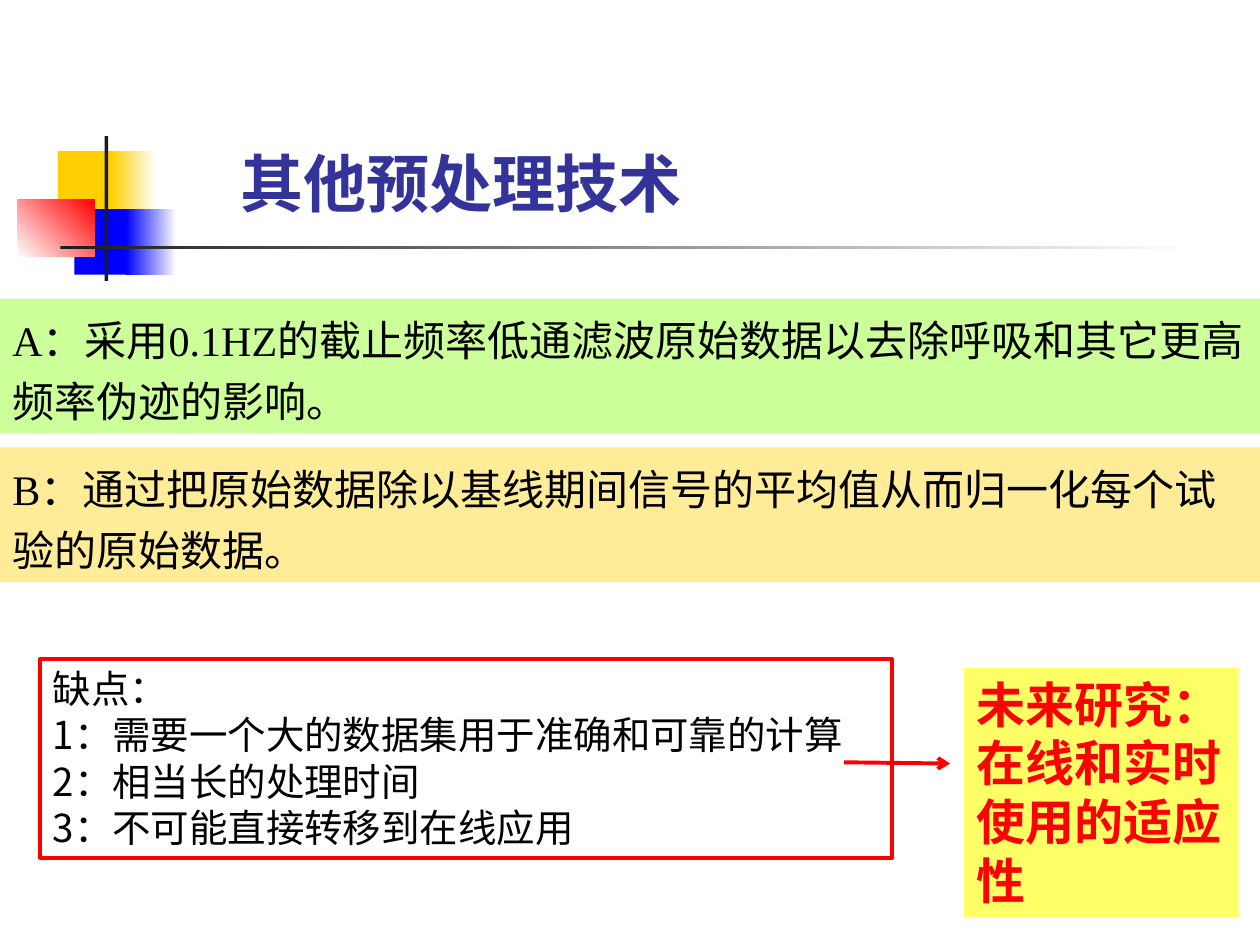
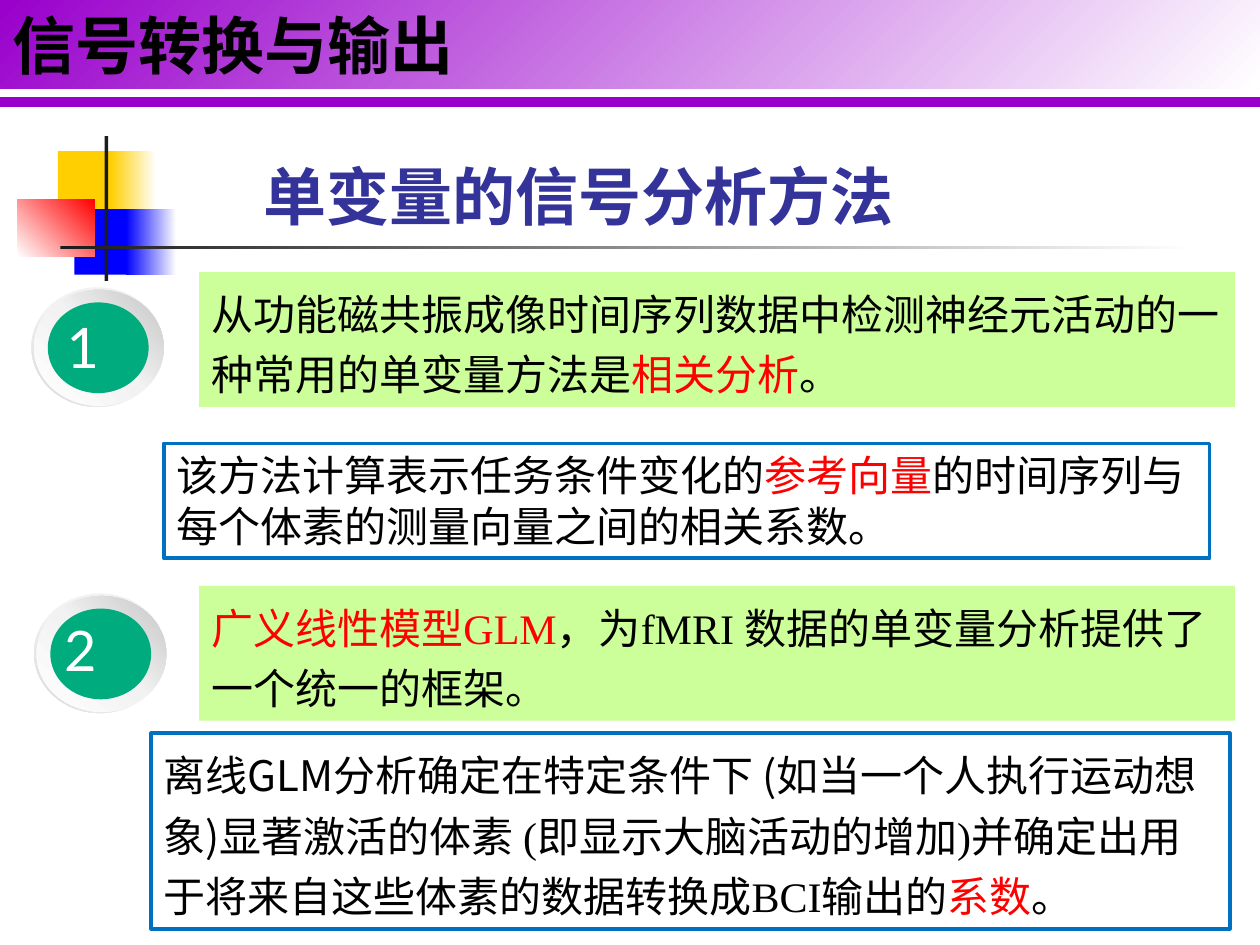
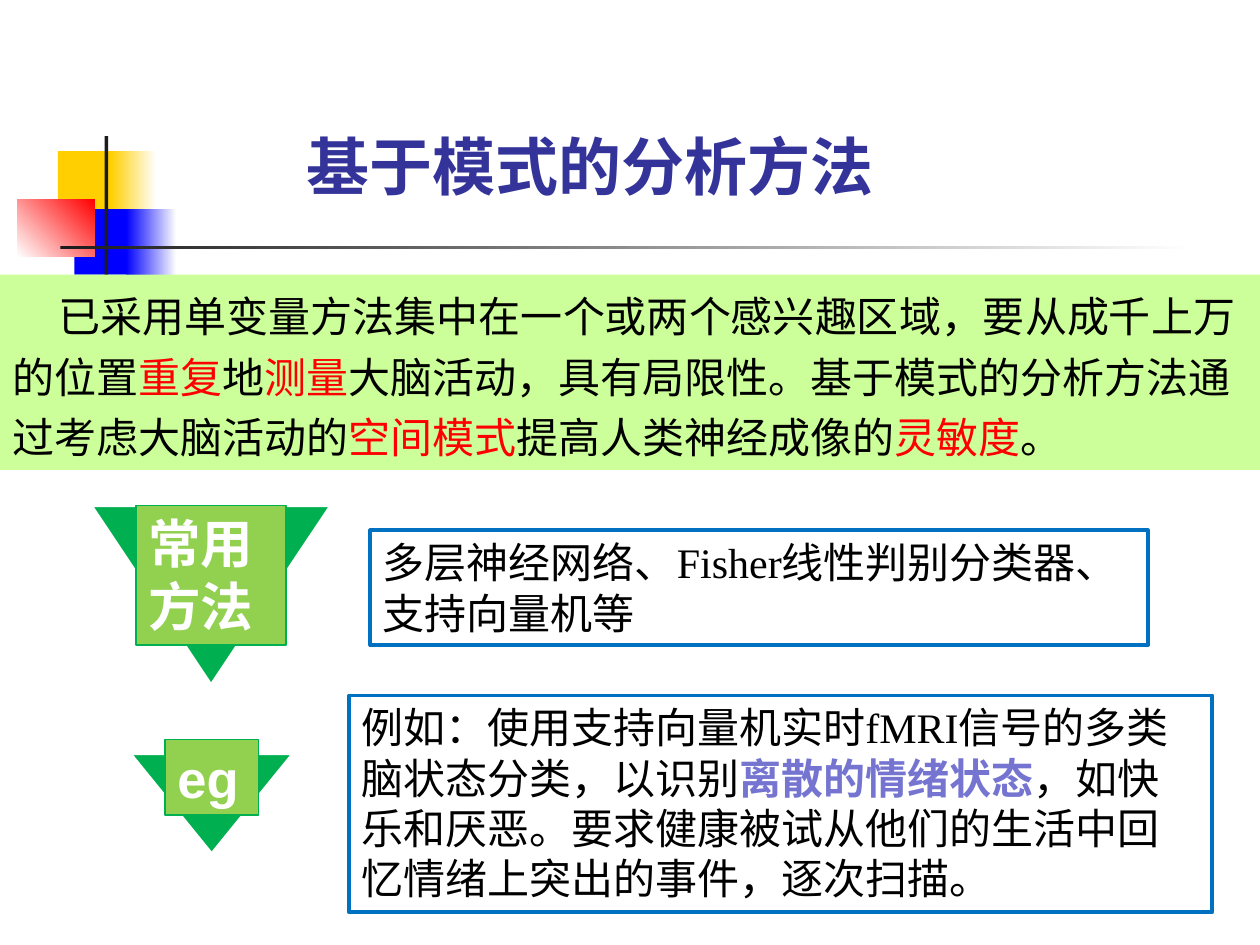
from lxml import etree
from pptx import Presentation
from pptx import oxml
from pptx.dml import color as dml
from pptx.enum import lang, shapes, text
from pptx.oxml import ns
from pptx.util import Inches, Pt

SHAPE = shapes.MSO_SHAPE
SANS, SERIF = "Noto Sans CJK SC", "Times New Roman"
BLACK, WHITE, RED, NAVY = "000000", "FFFFFF", "FF0000", "333399"
LIME, BLUE, GREEN, PURPLE = "CCFF99", "0070C0", "00B050", "9900CC"

# Shared decoration: place, then a solid colour or (gradient stops, angle)
DECORATION = [
    ((0.46, 1.2, 0.48, 0.52), "FFCF01"),
    ((0.88, 1.2, 0.36, 0.52), ([(0, "FFCF01"), (100, WHITE)], 0)),
    ((0.59, 1.66, 0.46, 0.52), "0000FF"),
    ((1, 1.66, 0.4, 0.52), ([(0, "0000FF"), (100, WHITE)], 0)),
    ((0.14, 1.58, 0.61, 0.46), ([(0, WHITE), (100, RED)], 315)),
    ((0.83, 1.08, 0.03, 1.15), "1C1C1C"),
    ((0.48, 1.95, 9, 0.03), ([(0, "1C1C1C"), (100, WHITE)], 0)),
]
HEADER_FILL = ([(0, PURPLE), (100, WHITE)], 45)
RING_FILL = ([(0, "F2F2F2"), (55, "F2F2F2"), (100, "D9D9D9")], 135)
DISC_FILL = ([(0, WHITE), (51, "F2F2F2"), (100, "C5C5C5")], 315)

# Panel styles
BAND = dict(fill=LIME, spacing=1.2)
FRAME = dict(line=(BLUE, 2.25))
TAG = dict(fill="92D050", line=(GREEN, 0.75), size=30, font="Arial", color=WHITE, bold=True)
KEY = dict(color=RED)

# Each panel: place, paragraphs (lists of text or (text, run style)), style
SLIDES = [
    dict(
        title=("其他预处理技术", (1.81, 0.2, 6.1, 1.6), "BOTTOM"),
        panels=[
            ((0, 2.37, 10, 1.07),
             [["A：采用0.1HZ的截止频率低通滤波原始数据以去除呼吸和其它更高频率伪迹的影响。"]], BAND),
            ((0, 3.55, 10, 1.07),
             [["B：通过把原始数据除以基线期间信号的平均值从而归一化每个试验的原始数据。"]],
             BAND | dict(fill="FFEC99")),
            ((0.32, 5.23, 6.76, 1.58),
             [["缺点："], ["1：需要一个大的数据集用于准确和可靠的计算"],
              ["2：相当长的处理时间"], ["3：不可能直接转移到在线应用"]],
             dict(line=(RED, 2.25), size=22, font=SANS)),
            ((7.65, 5.3, 2.18, 1.98), [["未来研究：在线和实时使用的适应性"]],
             dict(fill="FFFF66", size=28, color=RED, bold=True)),
        ],
        lines=[((6.7, 6.05), (7.54, 6.06), RED, 2.25, True)],
    ),
    dict(
        title=("单变量的信号分析方法", (1.99, 1.2, 7.81, 0.64), "TOP"),
        panels=[
            ((0, 0, 10, 0.7), [["信号转换与输出"]], dict(fill=HEADER_FILL, size=36, bold=True)),
            ((1.3, 3.52, 8.3, 0.91),
             [["该方法计算表示任务条件变化的", ("参考向量", KEY),
               "的时间序列与每个体素的测量向量之间的相关系数。"]], FRAME | dict(font=SANS)),
            ((1.58, 2.16, 8.22, 1.07),
             [["从功能磁共振成像时间序列数据中检测神经元活动的一种常用的单变量方法是",
               ("相关分析", KEY), "。"]], BAND | dict(font=SANS)),
            ((1.58, 4.65, 8.22, 1.07),
             [[("广义线性模型GLM", KEY), "，为fMRI 数据的单变量分析提供了一个统一的框架。"]], BAND),
            ((1.2, 5.82, 8.56, 1.55),
             [[("离线GLM分析确定在特定条件下 (如当一个人执行运动想象)", dict(font=SANS)),
               "显著激活的体素 (即显示大脑活动的增加)并确定出用于将来自这些体素的数据转换成BCI输出的",
               ("系数", KEY), "。"]], FRAME | dict(spacing=1.2)),
        ],
        lines=[((0, 0.81), (10, 0.81), PURPLE, 6, False)],
        # number, left and top of the badge, left and top of its digit
        badges=[("1", 0.25, 2.28, 0.28, 2.4), ("2", 0.27, 4.71, 0.26, 4.81)],
    ),
    dict(
        title=("基于模式的分析方法", (2.33, 0.96, 5.45, 0.71), "TOP"),
        triangles=[(0.72, 4.01, 1.91, 1.43), (1.03, 5.98, 1.3, 0.8)],
        panels=[
            ((0, 2.18, 10, 1.55),
             [["已采用单变量方法集中在一个或两个感兴趣区域，要从成千上万的位置", ("重复", KEY), "地",
               ("测量", KEY), "大脑活动，具有局限性。基于模式的分析方法通过考虑大脑活动的",
               ("空间模式", KEY), "提高人类神经成像的", ("灵敏度", KEY), "。"]],
             BAND | dict(indent=0.37)),
            ((1.08, 4.01, 1.19, 1.11), [["常用方法"]], TAG),
            ((2.94, 4.21, 6.17, 0.91),
             [["多层神经网络、Fisher线性判别分类器、"], ["支持向量机等"]], FRAME),
            ((1.31, 5.87, 0.74, 0.6), [["eg"]], TAG),
            ((2.77, 5.52, 6.85, 1.72),
             [[("例如：使用支持向量机实时", dict(font=SANS)), "fMRI",
               ("信号的多类脑状态分类，以识别", dict(font=SANS)),
               ("离散的情绪状态", dict(font=SANS, color="7575D1", bold=True)),
               ("，如快乐和厌恶。", dict(font=SANS)),
               "要求健康被试从他们的生活中回忆情绪上突出的事件，逐次扫描。"]], FRAME),
        ],
    ),
]


def rgb(value):
    return dml.RGBColor.from_string(value)


def inches(values):
    return [Inches(value) for value in values]


def paint(shape, fill):
    """Fill with nothing, one colour, or (stops, clockwise angle)."""
    if fill is None:
        shape.fill.background()
    elif isinstance(fill, str):
        shape.fill.solid()
        shape.fill.fore_color.rgb = rgb(fill)
    else:
        stops, angle = fill
        stop_xml = "".join(
            f'<a:gs pos="{place * 1000}"><a:srgbClr val="{value}"/></a:gs>' for place, value in stops)
        # The fill follows the position and the geometry
        shape.element.spPr.insert(2, oxml.parse_xml(
            f'<a:gradFill {ns.nsdecls("a")} rotWithShape="1"><a:gsLst>{stop_xml}</a:gsLst>'
            f'<a:lin ang="{angle * 60000}" scaled="1"/></a:gradFill>'))


def add_shape(page, kind, place, fill=None, line=None):
    shape = page.shapes.add_shape(kind, *inches(place))
    shape.shadow.inherit = False
    paint(shape, fill)
    if line:
        shape.line.color.rgb, shape.line.width = rgb(line[0]), Pt(line[1])
    else:
        shape.line.fill.background()
    return shape


def write(shape, paragraphs, size=24, font=SERIF, color=BLACK, bold=False,
          spacing=1, indent=0, anchor="TOP"):
    frame = shape.text_frame
    frame.word_wrap = True
    frame.auto_size = text.MSO_AUTO_SIZE.NONE
    frame.vertical_anchor = text.MSO_ANCHOR[anchor]
    base = dict(font=font, color=color, bold=bold)
    for number, runs in enumerate(paragraphs):
        para = frame.add_paragraph() if number else frame.paragraphs[0]
        para.alignment = text.PP_ALIGN.LEFT
        para.line_spacing = spacing
        para.space_before = Pt(0)
        if indent:
            para._p.get_or_add_pPr().set("indent", str(Inches(indent)))
        for run in runs:
            words, change = (run, {}) if isinstance(run, str) else run
            style = base | change
            span = para.add_run()
            span.text = words
            span.font.size, span.font.bold = Pt(size), style["bold"]
            span.font.language_id = lang.MSO_LANGUAGE_ID.SIMPLIFIED_CHINESE
            span.font.color.rgb = rgb(style["color"])
            span.font.name = style["font"]
            etree.SubElement(span.font._element, ns.qn("a:ea"), typeface=SANS)


def add_panel(page, place, paragraphs, style):
    style = dict(style)
    box = add_shape(page, SHAPE.RECTANGLE, place, style.pop("fill", None), style.pop("line", None))
    write(box, paragraphs, **style)


def add_line(page, start, end, color, width, arrow):
    line = page.shapes.add_connector(shapes.MSO_CONNECTOR.STRAIGHT, *inches(start + end))
    line.line.color.rgb, line.line.width = rgb(color), Pt(width)
    if arrow:
        etree.SubElement(line.line._get_or_add_ln(), ns.qn("a:tailEnd"), type="arrow")
    etree.SubElement(line.element.spPr, ns.qn("a:effectLst"))


def add_badge(page, digit, left, top, digit_left, digit_top):
    ring = add_shape(page, SHAPE.DONUT, (left, top, 1.05, 0.95), RING_FILL)
    ring.adjustments[0] = 0.049
    add_shape(page, SHAPE.OVAL, (left + 0.02, top + 0.02, 1.03, 0.92), DISC_FILL)
    add_shape(page, SHAPE.OVAL, (left + 0.13, top + 0.12, 0.8, 0.72), "00AB7E")
    label = page.shapes.add_textbox(*inches((digit_left, digit_top, 0.8, 0.69)))
    frame = label.text_frame
    frame.margin_left, frame.margin_right = Inches(0.25), Inches(0.16)
    frame.margin_top = frame.margin_bottom = Inches(0.08)
    write(label, [[digit]], size=31.9, font="Lato", color=WHITE)


def decorate(layout, page):
    """Draw the corner blocks and rule once, then hand them to the layout."""
    for place, fill in DECORATION:
        block = add_shape(page, SHAPE.RECTANGLE, place, fill)
        layout.shapes.element.append(block.element)


def main():
    deck = Presentation()
    deck.slide_width, deck.slide_height = Inches(10), Inches(7.5)
    layout = deck.slide_layouts[5]
    for number, content in enumerate(SLIDES):
        page = deck.slides.add_slide(layout)
        if number == 0:
            decorate(layout, page)
        # Title
        words, place, anchor = content["title"]
        title = page.shapes.title
        title.left, title.top, title.width, title.height = inches(place)
        write(title, [[words]], size=36, font=SANS, color=NAVY, bold=True, anchor=anchor)
        # Body
        for place in content.get("triangles", []):
            add_shape(page, SHAPE.ISOSCELES_TRIANGLE, place, GREEN, (WHITE, 2)).rotation = 180
        for panel in content["panels"]:
            add_panel(page, *panel)
        for line in content.get("lines", []):
            add_line(page, *line)
        for badge in content.get("badges", []):
            add_badge(page, *badge)
    deck.save("out.pptx")


if __name__ == "__main__":
    main()
